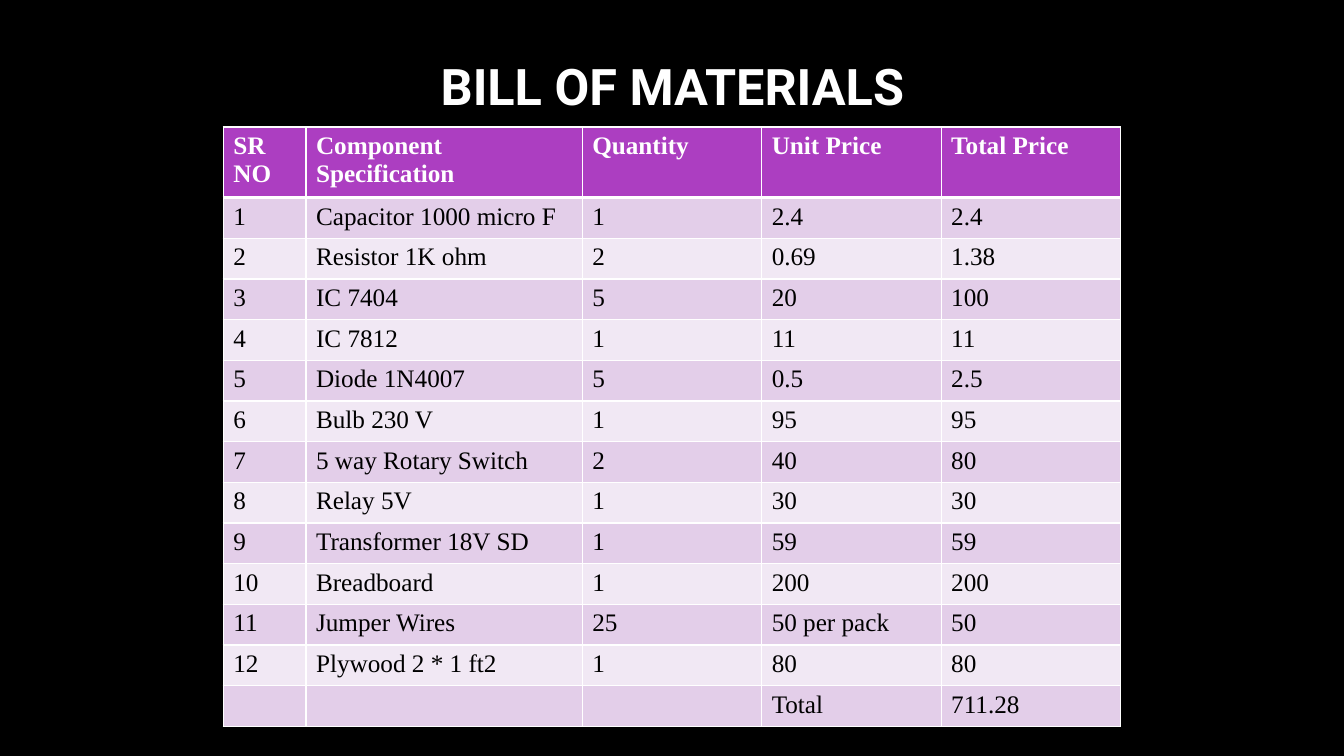
"""Build the bill of materials slide."""
from lxml import etree
from pptx import Presentation
from pptx.dml.color import RGBColor
from pptx.enum.text import MSO_ANCHOR, PP_ALIGN
from pptx.oxml.ns import qn
from pptx.util import Inches, Pt

MIDDLE, CENTER = MSO_ANCHOR.MIDDLE, PP_ALIGN.CENTER

TITLE = "BILL OF MATERIALS"
HEADINGS = ("SR NO", "Component Specification", "Quantity", "Unit Price", "Total Price")
PARTS = [
    ("Capacitor 1000 micro F", "1", "2.4", "2.4"),
    ("Resistor 1K ohm", "2", "0.69", "1.38"),
    ("IC 7404", "5", "20", "100"),
    ("IC 7812", "1", "11", "11"),
    ("Diode 1N4007", "5", "0.5", "2.5"),
    ("Bulb 230 V", "1", "95", "95"),
    ("5 way Rotary Switch", "2", "40", "80"),
    ("Relay 5V", "1", "30", "30"),
    ("Transformer 18V SD", "1", "59", "59"),
    ("Breadboard", "1", "200", "200"),
    ("Jumper Wires", "25", "50 per pack", "50"),
    ("Plywood 2 * 1 ft2", "1", "80", "80"),
]
TOTAL = ("", "", "", "Total", "711.28")

WIDTH, HEIGHT = 13.33, 7.5
BLACK, WHITE = "000000", "FFFFFF"
HEADER_FILL, BANDS = "AC3EC1", ("F1E8F4", "E3CEE9")
TITLE_FONT = {"name": "Roboto", "size": Pt(36), "bold": True}
HEAD_FONT = {"name": "Times New Roman", "size": Pt(18), "bold": True}
BODY_FONT = {**HEAD_FONT, "bold": False}

TITLE_BOX = (0.92, 0.12, 11.5, 1.45)
TABLE_TOP = 1.26
COLUMNS = (0.82, 2.74, 1.78, 1.78, 1.78)
HEADER_HEIGHT, TABLE_HEIGHT = 0.67, 5.92


def rgb(value):
    return RGBColor.from_string(value)


def write(p, text, font, color):
    r = p.add_run()
    r.text = text
    for key, value in font.items():
        setattr(r.font, key, value)
    r.font.color.rgb = rgb(color)


def add_borders(cell, widths):
    tcPr = cell._tc.get_or_add_tcPr()
    for side, width in widths.items():
        ln = etree.SubElement(tcPr, qn(f"a:ln{side}"), w=str(Pt(width)))
        fill = etree.SubElement(ln, qn("a:solidFill"))
        etree.SubElement(fill, qn("a:srgbClr"), val=WHITE)


def add_title(slide):
    tf = slide.shapes.add_textbox(*map(Inches, TITLE_BOX)).text_frame
    tf.word_wrap = True
    tf.vertical_anchor = MIDDLE
    p = tf.paragraphs[0]
    p.alignment = CENTER
    write(p, TITLE, TITLE_FONT, WHITE)


def add_bill(slide):
    numbered = [(str(n), *part) for n, part in enumerate(PARTS, 1)]
    rows = [HEADINGS, *numbered, TOTAL]
    width = sum(COLUMNS)
    box = ((WIDTH - width) / 2, TABLE_TOP, width, TABLE_HEIGHT)
    table = slide.shapes.add_table(len(rows), len(COLUMNS), *map(Inches, box)).table
    for column, size in zip(table.columns, COLUMNS):
        column.width = Inches(size)
    row_height = (TABLE_HEIGHT - HEADER_HEIGHT) / (len(rows) - 1)
    for i, texts in enumerate(rows):
        header = i == 0
        table.rows[i].height = Inches(HEADER_HEIGHT if header else row_height)
        font, color = (HEAD_FONT, WHITE) if header else (BODY_FONT, BLACK)
        borders = {"L": 1, "R": 1, "T": 3 if i == 1 else 1, "B": 3 if header else 1}
        for j, text in enumerate(texts):
            cell = table.cell(i, j)
            add_borders(cell, borders)
            cell.fill.solid()
            cell.fill.fore_color.rgb = rgb(HEADER_FILL if header else BANDS[i % 2])
            if text:
                write(cell.text_frame.paragraphs[0], text, font, color)


def main():
    prs = Presentation()
    prs.slide_width, prs.slide_height = Inches(WIDTH), Inches(HEIGHT)
    slide = prs.slides.add_slide(prs.slide_layouts[6])
    slide.background.fill.solid()
    slide.background.fill.fore_color.rgb = rgb(BLACK)
    add_title(slide)
    add_bill(slide)
    prs.save("out.pptx")


if __name__ == "__main__":
    main()
